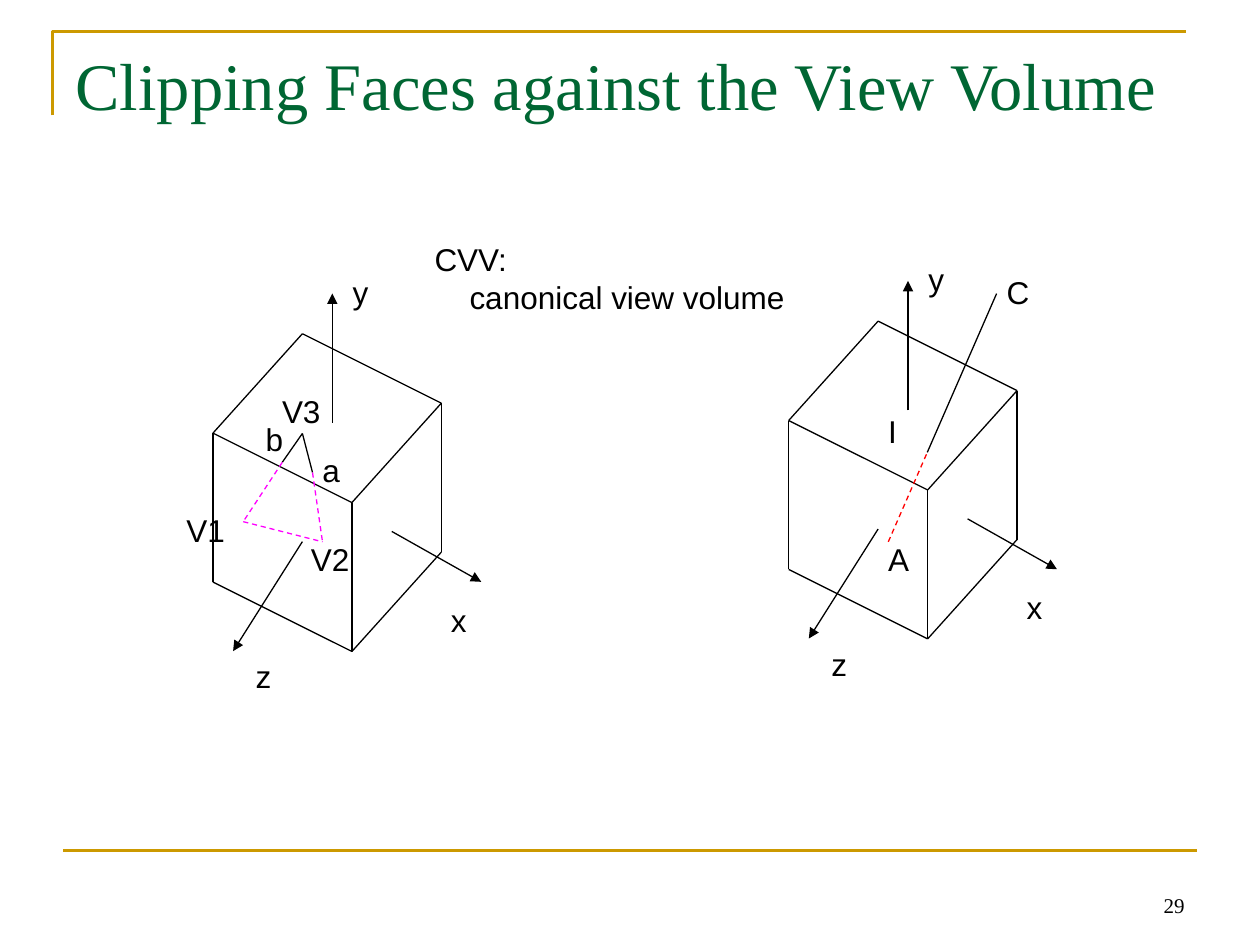
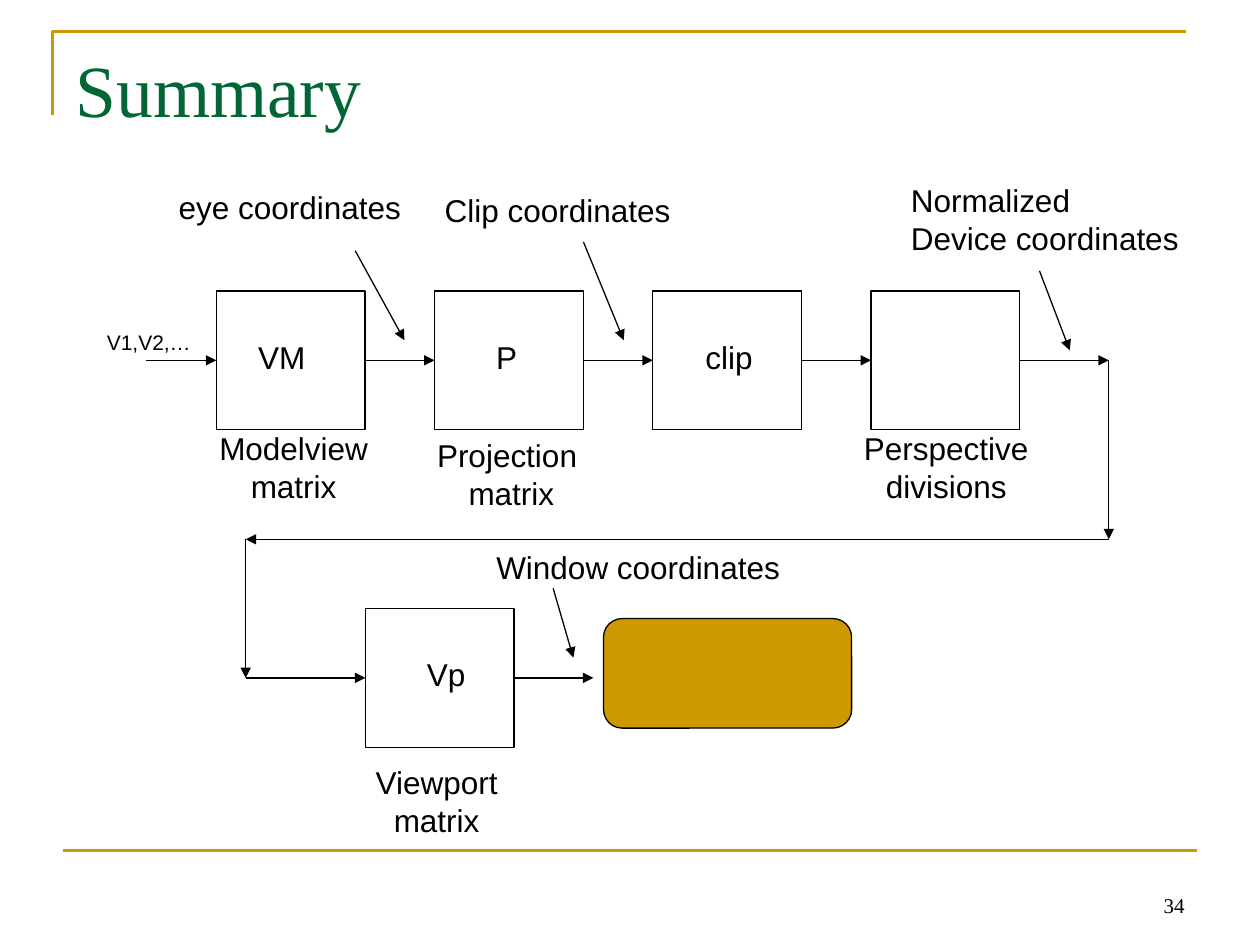
import dataclasses
import itertools

import lxml.etree
import pptx
import pptx.dml.color
import pptx.enum.dml
import pptx.enum.shapes
import pptx.enum.text
import pptx.oxml.ns
import pptx.util

Pt = pptx.util.Pt
qn = pptx.oxml.ns.qn
Align = pptx.enum.text.PP_ALIGN
Preset = pptx.enum.shapes.MSO_SHAPE


@dataclasses.dataclass(frozen=True)
class Theme:
    """Colours, fonts and sizes shared by both slides."""
    gold: str = "CC9900"
    green: str = "006633"
    black: str = "000000"
    pink: str = "FF00FF"
    red: str = "FF0000"
    serif: str = "Times New Roman"
    sans: str = "Arial"
    body: int = 18
    small: int = 12
    thin: float = 0.75
    thick: float = 1.5
    slack: int = 8


THEME = Theme()


def rgb(color):
    """Turn a hex string into a colour."""
    return pptx.dml.color.RGBColor.from_string(color)


def style(frame, face, size, color, align):
    """Format every paragraph and run of a text frame."""
    for para in frame.paragraphs:
        para.alignment = align
        for run in para.runs:
            run.font.name = face
            run.font.size = Pt(size)
            run.font.color.rgb = rgb(color)


def stroke(shape, color, width):
    """Set the outline of a shape."""
    shape.line.color.rgb = rgb(color)
    shape.line.width = Pt(width)


def line(shapes, start, end, color=THEME.black, width=THEME.thin, dash=False, arrow=False):
    """Draw a straight line, dashed or with an arrowhead if asked."""
    wire = shapes.add_connector(pptx.enum.shapes.MSO_CONNECTOR.STRAIGHT,
                                *(Pt(v) for v in (*start, *end)))
    stroke(wire, color, width)
    if dash:
        wire.line.dash_style = pptx.enum.dml.MSO_LINE.DASH
    if arrow:
        lxml.etree.SubElement(wire.get_or_add_ln(), qn("a:tailEnd"), type="triangle")
    lxml.etree.SubElement(wire.element.spPr, qn("a:effectLst"))


def arrow(shapes, start, end):
    """Draw a thin black arrow."""
    line(shapes, start, end, arrow=True)


def label(shapes, text, left, top, width, size=THEME.body, align=Align.LEFT, indent=0):
    """Place a label with some slack, its last line indented if asked."""
    count = text.count("\n") + 1
    if align == Align.CENTER:
        left -= THEME.slack / 2
    box = shapes.add_textbox(Pt(left), Pt(top), Pt(width + THEME.slack),
                             Pt(1.2 * size * count + 7.2))
    frame = box.text_frame
    frame.text = text
    frame.word_wrap = False
    frame.auto_size = pptx.enum.text.MSO_AUTO_SIZE.SHAPE_TO_FIT_TEXT
    style(frame, THEME.sans, size, THEME.black, align)
    if indent:
        frame.paragraphs[-1]._p.get_or_add_pPr().set("marL", str(Pt(indent)))


def block(shapes, kind, left, top, width, height, fill=None):
    """Draw an outlined preset shape."""
    shape = shapes.add_shape(kind, Pt(left), Pt(top), Pt(width), Pt(height))
    shape.shadow.inherit = False
    stroke(shape, THEME.black, THEME.thin)
    if fill:
        shape.fill.solid()
        shape.fill.fore_color.rgb = rgb(fill)
    else:
        shape.fill.background()
    return shape


def begin(deck, title, size, number):
    """Add a slide with its gold frame, title and number."""
    slide = deck.slides.add_slide(deck.slide_layouts[5])
    shapes = slide.shapes
    pen = shapes.build_freeform(Pt(30), Pt(66))
    pen.add_line_segments([(Pt(30), Pt(18)), (Pt(678), Pt(18))], close=False)
    corner = pen.convert_to_shape()
    corner.fill.background()
    corner.shadow.inherit = False
    stroke(corner, THEME.gold, THEME.thick)
    line(shapes, (36, 486), (684, 486), THEME.gold, THEME.thick)

    head = shapes.title
    head.left, head.top, head.width, head.height = Pt(36), Pt(21.6), Pt(648), Pt(90)
    frame = head.text_frame
    frame.text = title
    frame.auto_size = pptx.enum.text.MSO_AUTO_SIZE.NONE
    frame.vertical_anchor = pptx.enum.text.MSO_ANCHOR.TOP
    style(frame, THEME.serif, size, THEME.green, Align.LEFT)

    frame = shapes.add_textbox(Pt(516), Pt(492), Pt(168), Pt(36)).text_frame
    frame.text = str(number)
    frame.word_wrap = True
    frame.vertical_anchor = pptx.enum.text.MSO_ANCHOR.BOTTOM
    style(frame, THEME.serif, THEME.small, THEME.black, Align.RIGHT)
    return shapes


def cube(shapes, x, y):
    """Draw a view volume with axes, its back top corner at x, y."""
    group = shapes.add_group_shape().shapes

    def at(dx, dy):
        """Shift a point to the cube."""
        return x + dx, y + dy

    back, left, right, front = (0, 0), (-51.1, 56.8), (79.4, 39.7), (28.3, 96.5)
    drop = 85.1
    low = [(dx, dy + drop) for dx, dy in (left, front, right)]
    edges = [(back, left), (back, right), (left, front), (front, right)]
    edges += itertools.pairwise(low)
    edges += zip((left, front, right), low)
    for start, end in edges:
        line(group, at(*start), at(*end))
    axes = [
        ("x", (51.1, 113), (102.2, 141.8), (77.8, 149)),
        ("y", (17.1, 51), (17.1, -23), (21.6, -38.2)),
        ("z", (0, 118.8), (-39.6, 181.4), (-33.8, 181.4)),
    ]
    for name, start, end, place in axes:
        arrow(group, at(*start), at(*end))
        label(group, name, *at(*place), 23)


def clipping(deck):
    """Build the slide on clipping faces."""
    shapes = begin(deck, "Clipping Faces against the View Volume", 38, 29)
    cube(shapes, 172.8, 190.7)
    cube(shapes, 501.8, 183.5)
    label(shapes, "CVV:\ncanonical view volume", 241.2, 133.9, 214.6, indent=20)

    v1, v2, v3 = (139, 298.1), (184.3, 309.6), (172.8, 247.7)
    a, b = (178.6, 270), (161.3, 264.2)
    for end in (b, a):
        line(shapes, v3, end)
    for start, end in ((b, v1), (a, v2), (v1, v2)):
        line(shapes, start, end, THEME.pink, dash=True)
    inner, cross, outer = (507.6, 309.6), (529.9, 258.5), (569.5, 167.8)
    line(shapes, inner, cross, THEME.red, dash=True)
    line(shapes, cross, outer)

    names = [
        ("V3", 154.1, 220.3, 36), ("V1", 99.4, 288.7, 36), ("V2", 170.6, 305.3, 36),
        ("b", 144.7, 236.2, 24.5), ("a", 177.1, 254.2, 24.5),
        ("A", 500.4, 305.3, 25.9), ("C", 568.1, 152.6, 27.4), ("I", 500.4, 231.8, 19.4),
    ]
    for name in names:
        label(shapes, *name)


def summary(deck):
    """Build the slide with the whole chain of steps."""
    shapes = begin(deck, "Summary", 42, 34)
    wide, high, first, step = 85, 79.2, 123.6, 124.7
    mid, turn, base = 205.9, 308.2, 387.4
    near, far, port = 140.4, 633.6, 208.8

    lefts = [first + step * i for i in range(4)]
    for left in lefts:
        block(shapes, Preset.RECTANGLE, left, mid - high / 2, wide, high)
    starts = [83.5] + [left + wide for left in lefts]
    for start, end in zip(starts, lefts + [far]):
        arrow(shapes, (start, mid), (end, mid))
    route = [(far, mid), (far, turn), (near, turn), (near, base), (port, base)]
    for start, end in itertools.pairwise(route):
        arrow(shapes, start, end)
    block(shapes, Preset.RECTANGLE, port, base - high / 2, wide, high)
    arrow(shapes, (port + wide, base), (339.1, base))
    screen = block(shapes, Preset.ROUNDED_RECTANGLE, 344.9, 353.5, 141.8, 62.6, THEME.gold)
    screen.adjustments[0] = 0.17

    label(shapes, "V1,V2,…", 54, 185, 61.9, THEME.small)
    names = [
        ("VM", 140.4, 189.4, 41), ("P", 276.5, 189.4, 25.9),
        ("clip", 396, 189.4, 41), ("Vp", 236.9, 370.8, 36),
        ("eye coordinates", 95, 103.7, 141.1),
        ("Clip coordinates", 247, 105.8, 143.3),
        ("Normalized\nDevice coordinates", 513.4, 100.1, 167),
        ("Window coordinates", 276.5, 309.6, 176.4),
    ]
    for name in names:
        label(shapes, *name)
    notes = [
        ("Modelview\nmatrix", 118.1, 241.9, 99.4, 0),
        ("Projection\nmatrix", 242.6, 245.5, 94.3, 5),
        ("Perspective\ndivisions", 486.7, 241.9, 108, 0),
        ("Viewport\nmatrix", 207.4, 432.7, 84.2, 0),
    ]
    for *note, indent in notes:
        label(shapes, *note, align=Align.CENTER, indent=indent)
    hints = [
        ((203, 143.3), (231.1, 194.4)), ((333.4, 138.2), (356.4, 194.4)),
        ((594, 154.8), (611.3, 200.2)), ((316.1, 336.2), (327.6, 375.8)),
    ]
    for start, end in hints:
        arrow(shapes, start, end)


def main():
    """Build and save the deck."""
    deck = pptx.Presentation()
    deck.slide_width, deck.slide_height = Pt(720), Pt(540)
    clipping(deck)
    summary(deck)
    deck.save("out.pptx")


if __name__ == "__main__":
    main()
